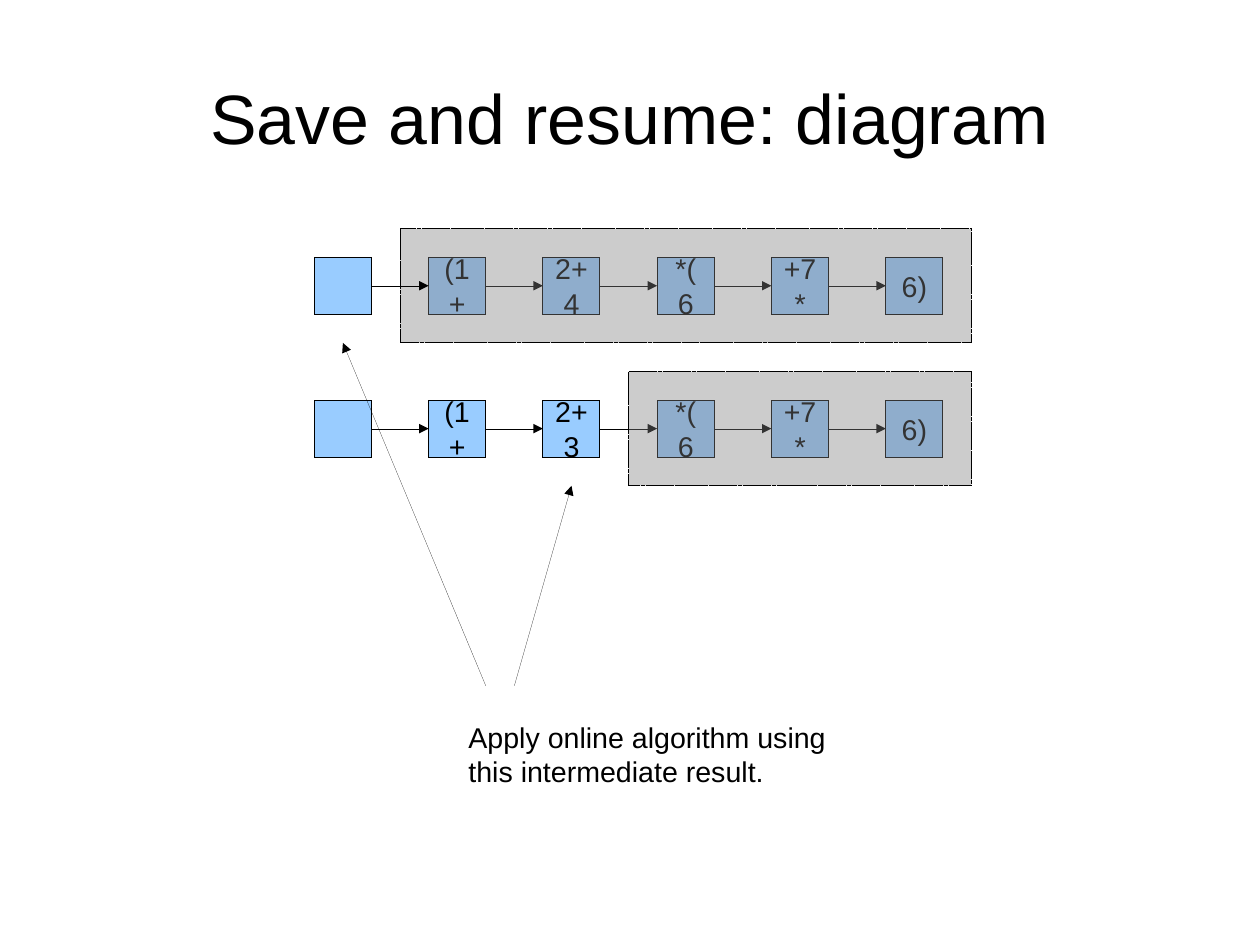
from lxml import etree
from pptx import Presentation
from pptx.dml.color import RGBColor
from pptx.enum.dml import MSO_LINE
from pptx.enum.shapes import MSO_CONNECTOR, MSO_SHAPE
from pptx.enum.text import MSO_ANCHOR, PP_ALIGN
from pptx.oxml.ns import qn
from pptx.util import Cm, Inches, Pt

TITLE = "Save and resume: diagram"
CAPTION = "Apply online algorithm using this intermediate result."
# top of the boxes, text of the steps, number of steps already done
CHAINS = [
    (2.25, ["(1+", "2+4", "*(6", "+7*", "6)"], 0),
    (3.5, ["(1+", "2+3", "*(6", "+7*", "6)"], 2),
]
POINTERS = [((4.25, 6), (3, 3)), ((4.5, 6), (5, 4.25))]

START_LEFT, BOX, PITCH, MARGIN = 2.75, 0.5, 1, 0.25
BLACK = RGBColor(0x00, 0x00, 0x00)
BLUE = RGBColor(0x99, 0xCC, 0xFF)
GREY = RGBColor(0x80, 0x80, 0x80)


def set_text(tf, text, size, align):
    tf.word_wrap = True
    p = tf.paragraphs[0]
    p.text = text
    p.alignment = align
    p.font.name = "Arial"
    p.font.size = Pt(size)
    p.font.color.rgb = BLACK


def set_hairline(s):
    """Give a black line of width 0, which must be written out, and return it."""
    s.line.color.rgb = BLACK
    ln = s._element.spPr.find(qn("a:ln"))
    ln.set("w", "0")
    return ln


def add_rect(left, top, width, height, color):
    s = shapes.add_shape(MSO_SHAPE.RECTANGLE, Inches(left), Inches(top),
                         Inches(width), Inches(height))
    s.shadow.inherit = False
    s.fill.solid()
    s.fill.fore_color.rgb = color
    set_hairline(s)
    return s


def add_box(index, top, text=""):
    s = add_rect(START_LEFT + index * PITCH, top, BOX, BOX, BLUE)
    if text:
        set_text(s.text_frame, text, 18, PP_ALIGN.CENTER)
        s.text_frame.vertical_anchor = MSO_ANCHOR.MIDDLE
    return s


def add_arrow(kind, start, end):
    c = shapes.add_connector(kind, *(Inches(v) for v in (*start, *end)))
    etree.SubElement(set_hairline(c), qn("a:tailEnd"), type="triangle")
    etree.SubElement(c._element.spPr, qn("a:effectLst"))
    return c


def link(left_box, right_box):
    c = add_arrow(MSO_CONNECTOR.ELBOW, (0, 0), (1, 0))
    c.begin_connect(left_box, 3)
    c.end_connect(right_box, 1)


def add_veil(top, done, count):
    """Cover the steps that are still to be computed."""
    left = START_LEFT + (done + 1) * PITCH - MARGIN
    width = (count - done) * PITCH
    s = add_rect(left, top - MARGIN, width, BOX + 2 * MARGIN, GREY)
    s.line.dash_style = MSO_LINE.SQUARE_DOT
    color = s._element.spPr.find(qn("a:solidFill"))[0]
    etree.SubElement(color, qn("a:alpha"), val="40000")


prs = Presentation()
prs.slide_width, prs.slide_height = Cm(28), Cm(21)
slide = prs.slides.add_slide(prs.slide_layouts[5])
shapes = slide.shapes

title = shapes.title
title.left, title.top = Inches(0.55), Inches(0.33)
title.width, title.height = Inches(9.92), Inches(1.38)
tf = title.text_frame
tf.margin_left = tf.margin_right = tf.margin_top = tf.margin_bottom = 0
tf.vertical_anchor = MSO_ANCHOR.MIDDLE
set_text(tf, TITLE, 44, PP_ALIGN.CENTER)

for top, steps, done in CHAINS:
    boxes = [add_box(i, top, text) for i, text in enumerate(steps, 1)]
    for pair in zip(boxes, boxes[1:]):
        link(*pair)
    add_veil(top, done, len(steps))
    link(add_box(0, top), boxes[0])

for start, end in POINTERS:
    add_arrow(MSO_CONNECTOR.STRAIGHT, start, end)

caption = shapes.add_textbox(Inches(4), Inches(6.25), Inches(3.5), Inches(0.75))
set_text(caption.text_frame, CAPTION, 18, PP_ALIGN.LEFT)

prs.save("out.pptx")
